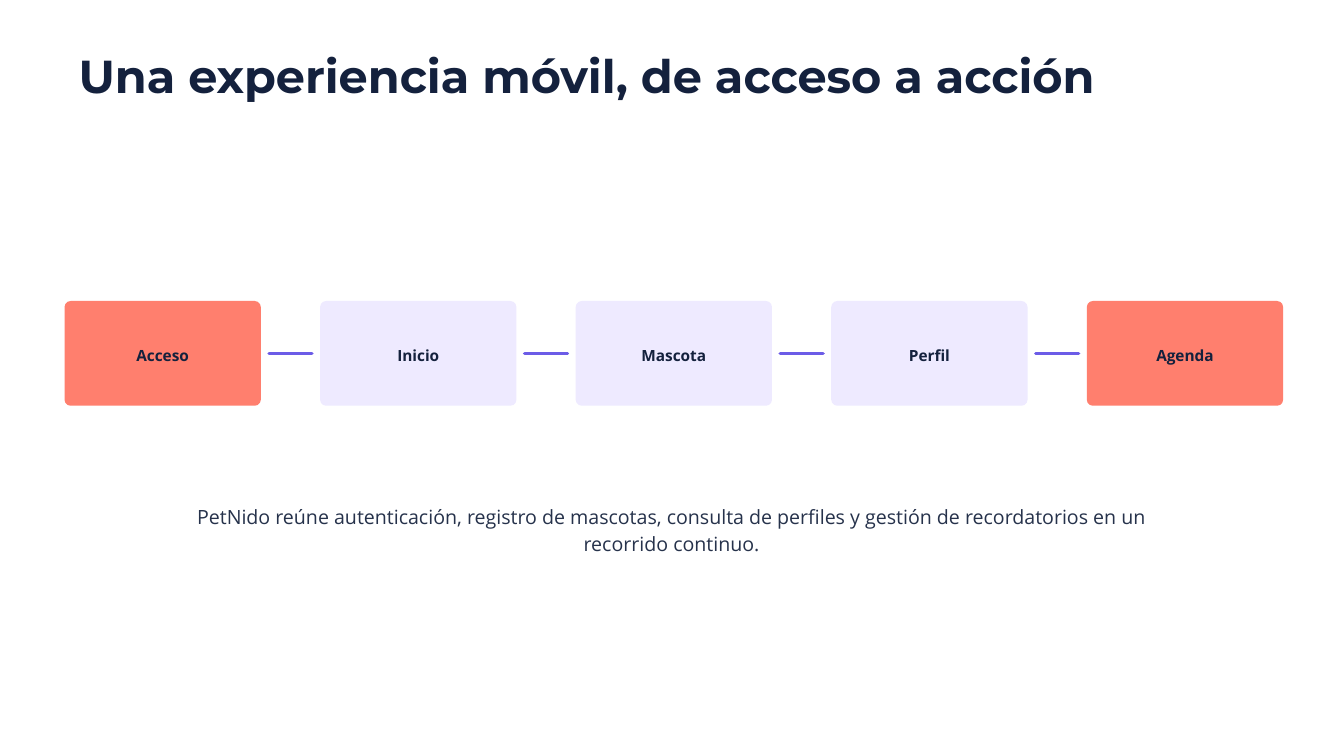
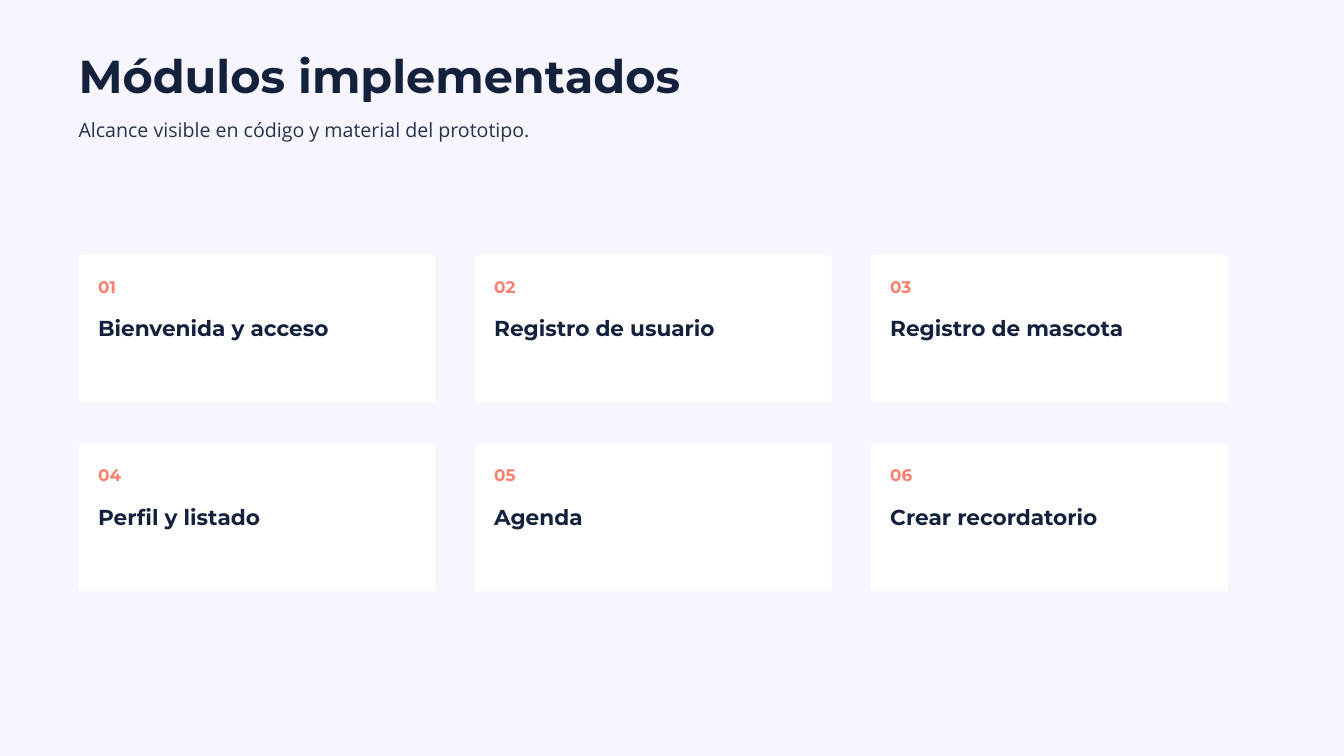
from dataclasses import dataclass
from typing import Optional

from lxml import etree
from pptx import Presentation
from pptx import slide as s
from pptx import util as u
from pptx.dml import color
from pptx.enum import shapes, text
from pptx.oxml import ns
from pptx.shapes import autoshape, shapetree
from pptx.text import text as t

WHITE = color.RGBColor(0xFF, 0xFF, 0xFF)
MIST = color.RGBColor(0xF7, 0xF5, 0xFF)
LAVENDER = color.RGBColor(0xEE, 0xEA, 0xFF)
VIOLET = color.RGBColor(0x6C, 0x5C, 0xE7)
CORAL = color.RGBColor(0xFF, 0x7F, 0x6E)
NAVY = color.RGBColor(0x14, 0x21, 0x3D)
SLATE = color.RGBColor(0x26, 0x32, 0x4B)

MARGIN = 2.97


@dataclass(frozen=True)
class Box:
    """Position and size in centimetres."""
    left: float
    top: float
    width: float
    height: float

    def lengths(self) -> tuple[u.Length, ...]:
        """Return the four measures as lengths."""
        return tuple(u.Cm(value) for value in (self.left, self.top, self.width, self.height))


@dataclass(frozen=True)
class Style:
    """Look of one level of text."""
    font: str
    size: float
    leading: float
    colour: color.RGBColor
    bold: bool = True
    align: Optional[text.PP_ALIGN] = None


@dataclass(frozen=True)
class Stage:
    """One step of the mobile journey."""
    label: str
    fill: color.RGBColor = LAVENDER


TITLE = Style("Montserrat", 49.5, 53.5, NAVY)
BODY = Style("Open Sans", 21, 29, SLATE, bold=False)
CAPTION = Style("Open Sans", 21, 29, SLATE, bold=False, align=text.PP_ALIGN.CENTER)
STAGE_LABEL = Style("Open Sans", 16.5, 23.1, NAVY, align=text.PP_ALIGN.CENTER)
CARD_NUMBER = Style("Montserrat", 18, 25.2, CORAL)
CARD_NAME = Style("Montserrat", 23.2, 32.5, NAVY)

STAGES = (
    Stage("Acceso", CORAL),
    Stage("Inicio"),
    Stage("Mascota"),
    Stage("Perfil"),
    Stage("Agenda", CORAL),
)
STAGE_BOX = Box(2.44, 11.38, 7.42, 3.96)
STAGE_PITCH = 9.66
LINK_GAP = 0.31

MODULES = (
    "Bienvenida y acceso", "Registro de usuario", "Registro de mascota",
    "Perfil y listado", "Agenda", "Crear recordatorio",
)
MODULE_COLUMNS = 3
CARD_BOX = Box(MARGIN, 9.65, 13.49, 5.56)
CARD_PITCH_X, CARD_PITCH_Y = 14.97, 7.14
CARD_INSET = 0.74


def write(frame: t.TextFrame, words: str, style: Style, inset: float = 0) -> None:
    """Fill a text frame with one styled paragraph."""
    frame.word_wrap = True
    frame.margin_left = frame.margin_right = u.Cm(inset)
    frame.margin_top = frame.margin_bottom = u.Cm(inset)
    frame.text = words
    paragraph = frame.paragraphs[0]
    paragraph.alignment = style.align
    paragraph.line_spacing = u.Pt(style.leading)
    font = paragraph.runs[0].font
    font.name, font.size, font.bold = style.font, u.Pt(style.size), style.bold
    font.color.rgb = style.colour


def add_text(container: shapetree._BaseGroupShapes, box: Box, words: str, style: Style) -> None:
    """Add a text box that grows with its text."""
    frame = container.add_textbox(*box.lengths()).text_frame
    write(frame, words, style)
    frame.auto_size = text.MSO_AUTO_SIZE.SHAPE_TO_FIT_TEXT


def add_panel(container: shapetree._BaseGroupShapes, box: Box, fill: color.RGBColor,
              radius: float) -> autoshape.Shape:
    """Add a borderless rounded rectangle."""
    shape = container.add_shape(shapes.MSO_SHAPE.ROUNDED_RECTANGLE, *box.lengths())
    shape.adjustments[0] = radius / box.height
    shape.shadow.inherit = False
    shape.fill.solid()
    shape.fill.fore_color.rgb = fill
    shape.line.fill.background()
    return shape


def add_link(slide: s.Slide, start: float, end: float, level: float) -> None:
    """Add a horizontal round-ended link between two stages."""
    link = slide.shapes.add_connector(
        shapes.MSO_CONNECTOR.STRAIGHT, u.Cm(start), u.Cm(level), u.Cm(end), u.Cm(level))
    link.line.color.rgb = VIOLET
    link.line.width = u.Pt(3.75)
    properties = link._element.spPr
    properties.find(ns.qn("a:ln")).set("cap", "rnd")
    etree.SubElement(properties, ns.qn("a:effectLst"))


def add_stage(slide: s.Slide, index: int, stage: Stage) -> None:
    """Add one stage of the journey and the link to the next."""
    left = STAGE_BOX.left + index * STAGE_PITCH
    box = Box(left, STAGE_BOX.top, STAGE_BOX.width, STAGE_BOX.height)
    frame = add_panel(slide.shapes, box, stage.fill, 0.23).text_frame
    write(frame, stage.label, STAGE_LABEL, inset=0.15)
    frame.vertical_anchor = text.MSO_ANCHOR.MIDDLE
    if index < len(STAGES) - 1:
        add_link(slide, left + box.width + LINK_GAP, left + STAGE_PITCH - LINK_GAP,
                 box.top + box.height / 2)


def add_card(slide: s.Slide, index: int, name: str) -> None:
    """Add one numbered module card to the grid."""
    row, column = divmod(index, MODULE_COLUMNS)
    left = CARD_BOX.left + column * CARD_PITCH_X
    top = CARD_BOX.top + row * CARD_PITCH_Y
    card = slide.shapes.add_group_shape().shapes
    add_panel(card, Box(left, top, CARD_BOX.width, CARD_BOX.height), WHITE, 0.09)
    add_text(card, Box(left + CARD_INSET, top + 0.67, 2.11, 0.84), f"{index + 1:02}", CARD_NUMBER)
    add_text(card, Box(left + CARD_INSET, top + 2.08, 11.91, 1.07), name, CARD_NAME)


def add_slide(presentation: Presentation, title: str, background: color.RGBColor) -> s.Slide:
    """Add a blank slide with its background and title."""
    slide = presentation.slides.add_slide(presentation.slide_layouts[6])
    slide.background.fill.solid()
    slide.background.fill.fore_color.rgb = background
    add_text(slide.shapes, Box(MARGIN, 2.01, 39.67, 1.93), title, TITLE)
    return slide


def add_journey_slide(presentation: Presentation) -> None:
    """Build the slide on the mobile journey."""
    slide = add_slide(presentation, "Una experiencia móvil, de acceso a acción", WHITE)
    for index, stage in enumerate(STAGES):
        add_stage(slide, index, stage)
    add_text(slide.shapes, Box(6.6, 18.97, 37.57, 1.96),
             "PetNido reúne autenticación, registro de mascotas, consulta de perfiles "
             "y gestión de recordatorios en un recorrido continuo.", CAPTION)


def add_modules_slide(presentation: Presentation) -> None:
    """Build the slide on the implemented modules."""
    slide = add_slide(presentation, "Módulos implementados", MIST)
    add_text(slide.shapes, Box(MARGIN, 4.34, 38.35, 0.94),
             "Alcance visible en código y material del prototipo.", BODY)
    for index, name in enumerate(MODULES):
        add_card(slide, index, name)


def main() -> None:
    """Build and save the presentation."""
    presentation = Presentation()
    presentation.slide_width, presentation.slide_height = u.Cm(50.8), u.Cm(28.58)
    add_journey_slide(presentation)
    add_modules_slide(presentation)
    presentation.save("out.pptx")


if __name__ == "__main__":
    main()
